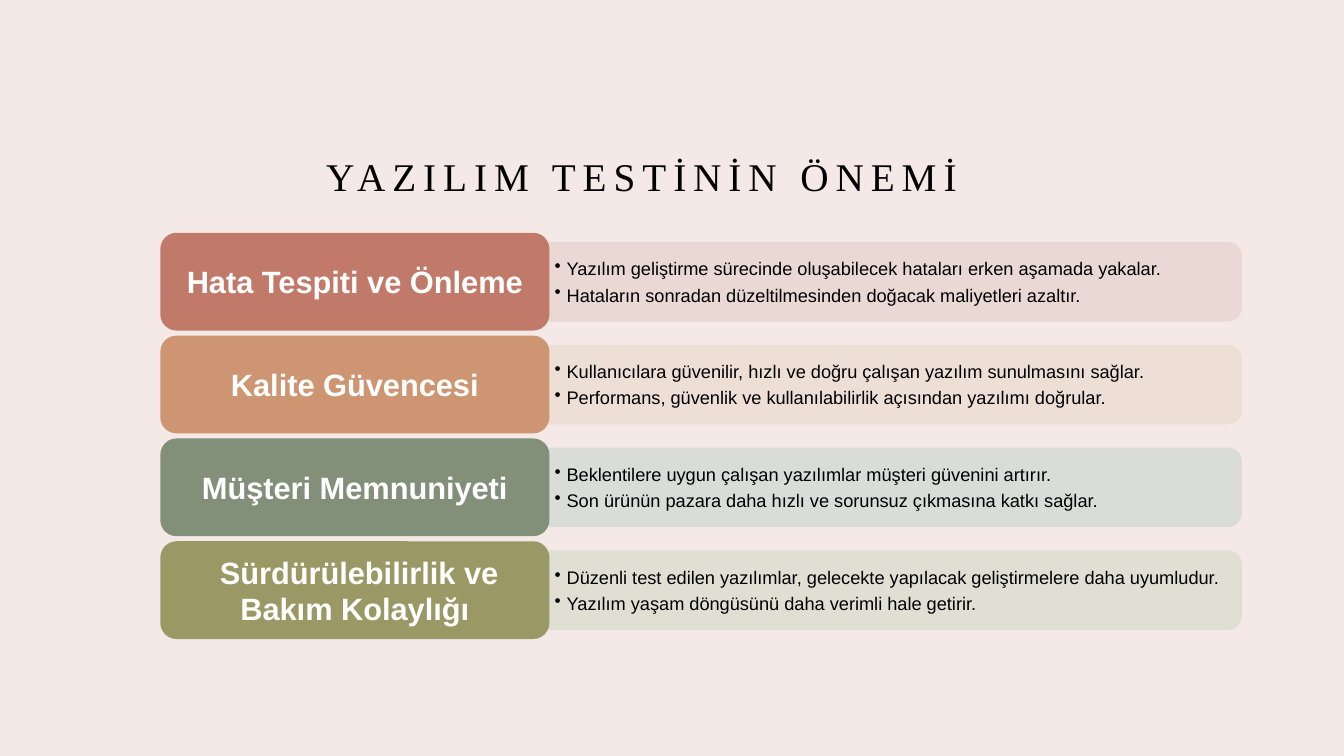
from dataclasses import dataclass

from pptx import Presentation
from pptx.dml.color import RGBColor
from pptx.enum.shapes import MSO_SHAPE
from pptx.enum.text import MSO_ANCHOR, PP_ALIGN
from pptx.oxml.ns import qn
from pptx.oxml.xmlchemy import OxmlElement
from pptx.util import Inches, Pt

SLIDE_W, SLIDE_H = 13.33, 7.5

# Grid in inches: a label column, a panel column and equal rows
LABEL_X, LABEL_W = 1.59, 3.86
PANEL_X, PANEL_W = LABEL_X + LABEL_W, 6.86
ROWS_Y, ROW_H, ROW_GAP = 2.31, 0.97, 0.05
PANEL_H = 0.8 * ROW_H
BULLETS_H = 0.7


@dataclass
class Topic:
    label: str
    color: str
    tint: str
    points: tuple[str, ...]


TOPICS = [
    Topic("Hata Tespiti ve Önleme", "C17A69", "E9D7D4", (
        "Yazılım geliştirme sürecinde oluşabilecek hataları erken aşamada yakalar.",
        "Hataların sonradan düzeltilmesinden doğacak maliyetleri azaltır.")),
    Topic("Kalite Güvencesi", "CE9573", "EDDDD5", (
        "Kullanıcılara güvenilir, hızlı ve doğru çalışan yazılım sunulmasını sağlar.",
        "Performans, güvenlik ve kullanılabilirlik açısından yazılımı doğrular.")),
    Topic("Müşteri Memnuniyeti", "82907A", "D8DBD7", (
        "Beklentilere uygun çalışan yazılımlar müşteri güvenini artırır.",
        "Son ürünün pazara daha hızlı ve sorunsuz çıkmasına katkı sağlar.")),
    Topic(" Sürdürülebilirlik ve Bakım Kolaylığı", "9A9966", "DEDED3", (
        "Düzenli test edilen yazılımlar, gelecekte yapılacak geliştirmelere daha uyumludur.",
        "Yazılım yaşam döngüsünü daha verimli hale getirir.")),
]


def rgb(color: str) -> RGBColor:
    return RGBColor.from_string(color)


def box(x: float, y: float, w: float, h: float) -> tuple:
    return Inches(x), Inches(y), Inches(w), Inches(h)


def set_frame(tf, inset_x: float, inset_y: float) -> None:
    tf.word_wrap = True
    tf.vertical_anchor = MSO_ANCHOR.MIDDLE
    tf.margin_left = tf.margin_right = Inches(inset_x)
    tf.margin_top = tf.margin_bottom = Inches(inset_y)


def add_run(p, text: str, size: float, color: str, font: str = "Arial", bold: bool = False):
    r = p.add_run()
    r.text = text
    r.font.name, r.font.size, r.font.bold = font, Pt(size), bold
    r.font.color.rgb = rgb(color)
    return r


def add_bullet(p, indent: float) -> None:
    pPr = p._p.get_or_add_pPr()
    pPr.set("marL", str(Inches(indent)))
    pPr.set("indent", str(-Inches(indent)))
    bullet = OxmlElement("a:buChar")
    bullet.set("char", "•")
    pPr.append(bullet)


def draw_title(s) -> None:
    tf = s.shapes.add_textbox(*box(1.2, 1.33, 10.33, 0.74)).text_frame
    set_frame(tf, 0.1, 0.05)
    p = tf.paragraphs[0]
    p.alignment = PP_ALIGN.CENTER
    p.line_spacing = 1.2
    r = add_run(p, "YAZILIM TESTİNİN ÖNEMİ", 28, "000000", "Times New Roman")
    r.font._element.set("spc", "500")


def draw_panel(s, mid_y: float, tint: str) -> None:
    """Draw a bar rounded on its right: an upright shape turned by 90 degrees."""
    mid_x = PANEL_X + PANEL_W / 2
    sp = s.shapes.add_shape(MSO_SHAPE.ROUND_2_SAME_RECTANGLE, *box(
        mid_x - PANEL_H / 2, mid_y - PANEL_W / 2, PANEL_H, PANEL_W))
    sp.rotation = 90
    sp.shadow.inherit = False
    sp.fill.solid()
    sp.fill.fore_color.rgb = sp.line.color.rgb = rgb(tint)
    sp.line.width = Pt(1)
    for clr in sp._element.spPr.iter(qn("a:srgbClr")):
        alpha = OxmlElement("a:alpha")
        alpha.set("val", "90000")
        clr.append(alpha)


def draw_points(s, mid_y: float, points: tuple[str, ...]) -> None:
    tf = s.shapes.add_textbox(*box(
        PANEL_X, mid_y - BULLETS_H / 2, PANEL_W - 0.04, BULLETS_H)).text_frame
    set_frame(tf, 0.05, 0.03)
    for i, point in enumerate(points):
        p = tf.add_paragraph() if i else tf.paragraphs[0]
        if i:
            p.space_before = Pt(3)
        add_bullet(p, 0.12)
        add_run(p, point, 13, "000000")


def draw_label(s, y: float, topic: Topic) -> None:
    sp = s.shapes.add_shape(MSO_SHAPE.ROUNDED_RECTANGLE, *box(LABEL_X, y, LABEL_W, ROW_H))
    sp.shadow.inherit = False
    sp.fill.solid()
    sp.fill.fore_color.rgb = rgb(topic.color)
    sp.line.fill.background()
    set_frame(sp.text_frame, 0.09, 0.05)
    p = sp.text_frame.paragraphs[0]
    p.alignment = PP_ALIGN.CENTER
    add_run(p, topic.label, 22, "FFFFFF", bold=True)


def draw_topic(s, row: int, topic: Topic) -> None:
    y = ROWS_Y + row * (ROW_H + ROW_GAP)
    mid_y = y + ROW_H / 2
    draw_panel(s, mid_y, topic.tint)
    draw_points(s, mid_y, topic.points)
    draw_label(s, y, topic)


def main() -> None:
    prs = Presentation()
    prs.slide_width, prs.slide_height = Inches(SLIDE_W), Inches(SLIDE_H)
    s = prs.slides.add_slide(prs.slide_layouts[6])
    s.background.fill.solid()
    s.background.fill.fore_color.rgb = rgb("F4E9E6")
    draw_title(s)
    for row, topic in enumerate(TOPICS):
        draw_topic(s, row, topic)
    prs.save("out.pptx")


if __name__ == "__main__":
    main()
